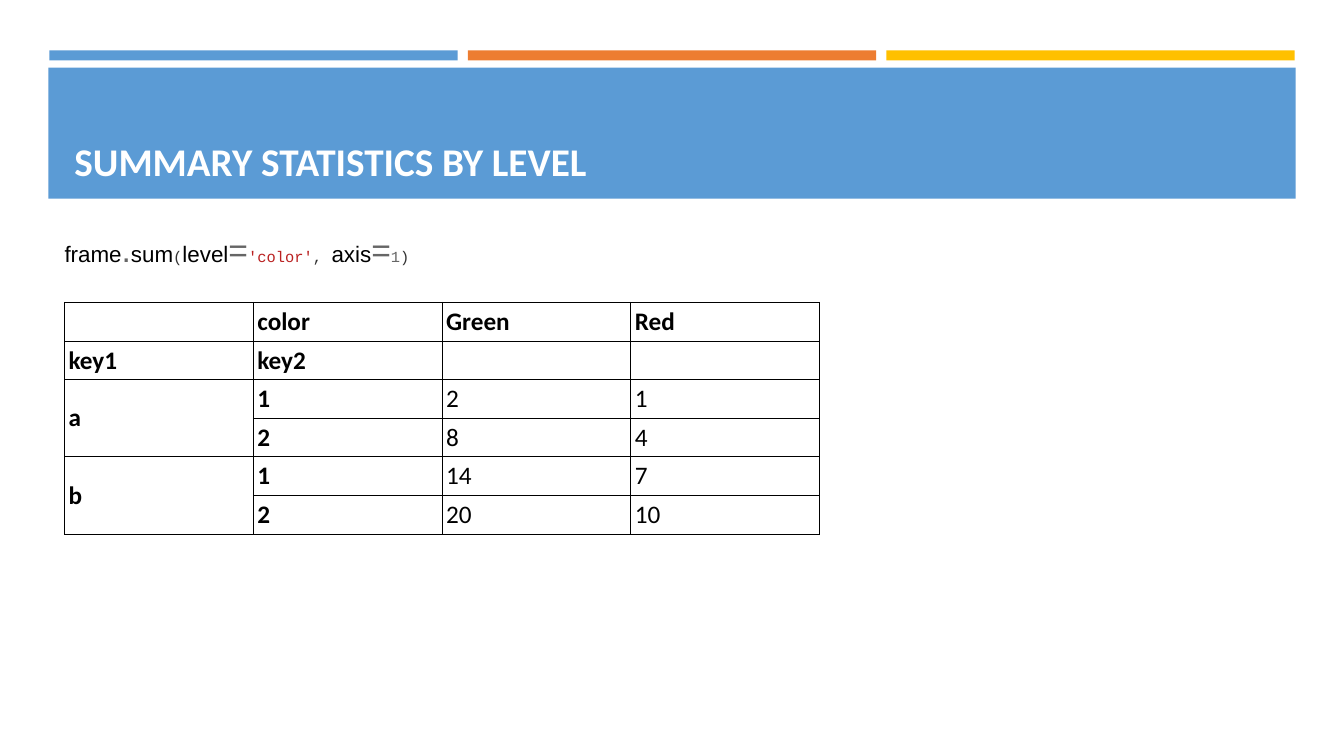
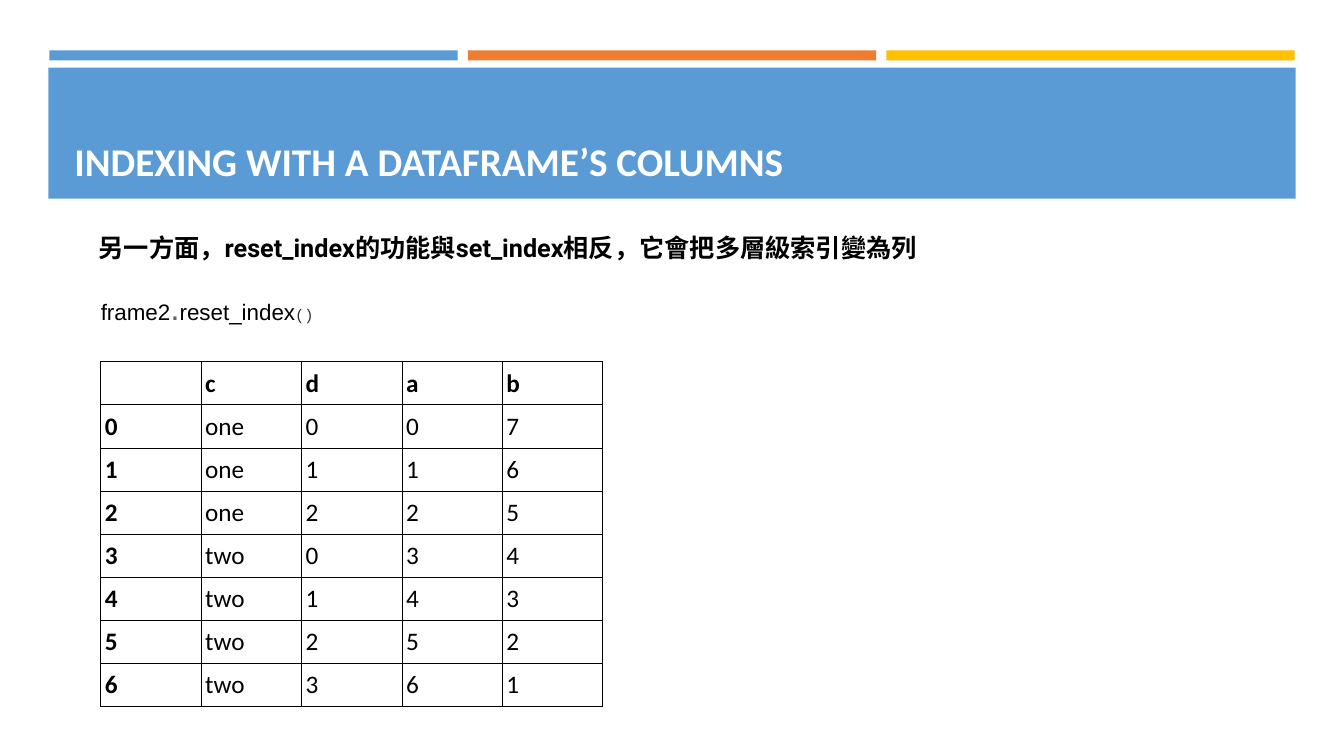
from dataclasses import dataclass

from lxml import etree
from pptx import Presentation
from pptx import util as u
from pptx.dml import color
from pptx.enum import shapes, text
from pptx.oxml import ns


@dataclass(frozen=True)
class Theme:
    blue: str = "5B9BD5"
    orange: str = "ED7D31"
    gold: str = "FFC000"
    white: str = "FFFFFF"
    black: str = "000000"
    operator: str = "666666"
    punctuation: str = "333333"
    string: str = "BA2121"
    body_font: str = "Calibri"
    note_font: str = "Roboto"
    name_font: str = "Arial"
    code_font: str = "Courier New"
    title_size: int = 28
    body_size: int = 18
    name_size: int = 16
    operator_size: int = 24
    code_size: int = 11
    border: float = 0.75


THEME = Theme()

TOKENS = {
    "name": (THEME.name_font, THEME.name_size, THEME.black),
    "operator": (THEME.name_font, THEME.operator_size, THEME.operator),
    "punctuation": (THEME.code_font, THEME.code_size, THEME.punctuation),
    "string": (THEME.code_font, THEME.code_size, THEME.string),
    "number": (THEME.code_font, THEME.code_size, THEME.operator),
}


def rgb(value):
    return color.RGBColor.from_string(value)


def inches(box):
    return [u.Inches(length) for length in box]


def style(font, name, size, tint, bold=False):
    font.name = name
    font.size = u.Pt(size)
    font.color.rgb = rgb(tint)
    font.bold = bold


def add_bar(slide, box, tint):
    bar = slide.shapes.add_shape(shapes.MSO_SHAPE.RECTANGLE, *inches(box))
    bar.shadow.inherit = False
    bar.fill.solid()
    bar.fill.fore_color.rgb = rgb(tint)
    bar.line.fill.background()


def add_text_frame(slide, box, anchor):
    frame = slide.shapes.add_textbox(*inches(box)).text_frame
    frame.word_wrap = True
    frame.vertical_anchor = anchor
    return frame


def add_header(slide, box, title):
    left, top, width, height = box
    gap = 0.1
    bar_width = (width - 0.02 - 2 * gap) / 3
    for index, tint in enumerate((THEME.blue, THEME.orange, THEME.gold)):
        bar_left = left + 0.01 + index * (bar_width + gap)
        add_bar(slide, (bar_left, top, bar_width, 0.1), tint)
    add_bar(slide, (left, top + 0.17, width, height - 0.17), THEME.blue)
    title_box = (left + 0.16, top + 0.27, width - 0.31, height - 0.36)
    heading = add_text_frame(slide, title_box, text.MSO_ANCHOR.BOTTOM)
    heading.text = title
    style(heading.paragraphs[0].runs[0].font, THEME.body_font,
          THEME.title_size, THEME.white, True)


def add_note(slide, box, wording):
    note = add_text_frame(slide, box, text.MSO_ANCHOR.TOP)
    note.text = wording
    font = note.paragraphs[0].runs[0].font
    style(font, THEME.note_font, THEME.body_size, THEME.black, True)
    properties = note.paragraphs[0].runs[0].font._element
    east_asian = etree.SubElement(properties, ns.qn("a:ea"))
    east_asian.set("typeface", THEME.note_font)


def add_code(slide, box, tokens):
    code = add_text_frame(slide, box, text.MSO_ANCHOR.MIDDLE)
    code.margin_left = code.margin_right = 0
    code.margin_top = code.margin_bottom = 0
    for kind, wording in tokens:
        run = code.paragraphs[0].add_run()
        run.text = wording
        style(run.font, *TOKENS[kind])


def add_borders(cell):
    properties = cell._tc.get_or_add_tcPr()
    for side in ("a:lnL", "a:lnR", "a:lnT", "a:lnB"):
        line = etree.SubElement(properties, ns.qn(side),
                                w=str(u.Pt(THEME.border)))
        fill = etree.SubElement(line, ns.qn("a:solidFill"))
        etree.SubElement(fill, ns.qn("a:srgbClr"), val=THEME.black)


def format_cell(cell, wording, bold):
    add_borders(cell)
    cell.fill.solid()
    cell.fill.fore_color.rgb = rgb(THEME.white)
    cell.vertical_anchor = text.MSO_ANCHOR.MIDDLE
    cell.margin_left = cell.margin_right = u.Inches(0.04)
    cell.margin_top = cell.margin_bottom = u.Inches(0.04)
    cell.text = wording
    style(cell.text_frame.paragraphs[0].font, THEME.body_font,
          THEME.body_size, THEME.black, bold)
    for run in cell.text_frame.paragraphs[0].runs:
        style(run.font, THEME.body_font, THEME.body_size, THEME.black, bold)


def add_frame_table(slide, box, rows, header_rows=1, index_columns=1,
                    merged_rows=()):
    table = slide.shapes.add_table(len(rows), len(rows[0]),
                                   *inches(box)).table
    table.first_row = False
    table.horz_banding = False
    for r, row in enumerate(rows):
        for c, wording in enumerate(row):
            bold = r < header_rows or c < index_columns
            format_cell(table.cell(r, c), wording, bold)
    for first, last in merged_rows:
        table.cell(first, 0).merge(table.cell(last, 0))


def add_slide(deck, title):
    slide = deck.slides.add_slide(deck.slide_layouts[6])
    add_header(slide, (0.48, 0.5, 12.37, 1.47), title)
    return slide


def build_level_sums(deck):
    slide = add_slide(deck, "SUMMARY STATISTICS BY LEVEL")
    add_code(slide, (0.64, 2.27, 3.6, 0.4), [
        ("name", "frame"), ("operator", "."), ("name", "sum"),
        ("punctuation", "("), ("name", "level"), ("operator", "="),
        ("string", "'color'"), ("punctuation", ", "), ("name", "axis"),
        ("operator", "="), ("number", "1"), ("punctuation", ")"),
    ])
    rows = [
        ("", "color", "Green", "Red"),
        ("key1", "key2", "", ""),
        ("a", "1", "2", "1"),
        ("", "2", "8", "4"),
        ("b", "1", "14", "7"),
        ("", "2", "20", "10"),
    ]
    add_frame_table(slide, (0.64, 3, 7.49, 2.3), rows, header_rows=2,
                    index_columns=2, merged_rows=((2, 3), (4, 5)))


def build_reset_index(deck):
    slide = add_slide(deck, "INDEXING WITH A DATAFRAME’S COLUMNS")
    add_note(slide, (0.88, 2.26, 8.48, 0.7),
             "另一方面，reset_index的功能與set_index相反，它會把多層級索引變為列")
    add_code(slide, (1, 2.85, 2.3, 0.4), [
        ("name", "frame2"), ("operator", "."), ("name", "reset_index"),
        ("punctuation", "()"),
    ])
    rows = [
        ("", "c", "d", "a", "b"),
        ("0", "one", "0", "0", "7"),
        ("1", "one", "1", "1", "6"),
        ("2", "one", "2", "2", "5"),
        ("3", "two", "0", "3", "4"),
        ("4", "two", "1", "4", "3"),
        ("5", "two", "2", "5", "2"),
        ("6", "two", "3", "6", "1"),
    ]
    add_frame_table(slide, (1, 3.59, 4.98, 3.42), rows)


def main():
    deck = Presentation()
    deck.slide_width = u.Inches(13.33)
    deck.slide_height = u.Inches(7.5)
    build_level_sums(deck)
    build_reset_index(deck)
    deck.save("out.pptx")


if __name__ == "__main__":
    main()
